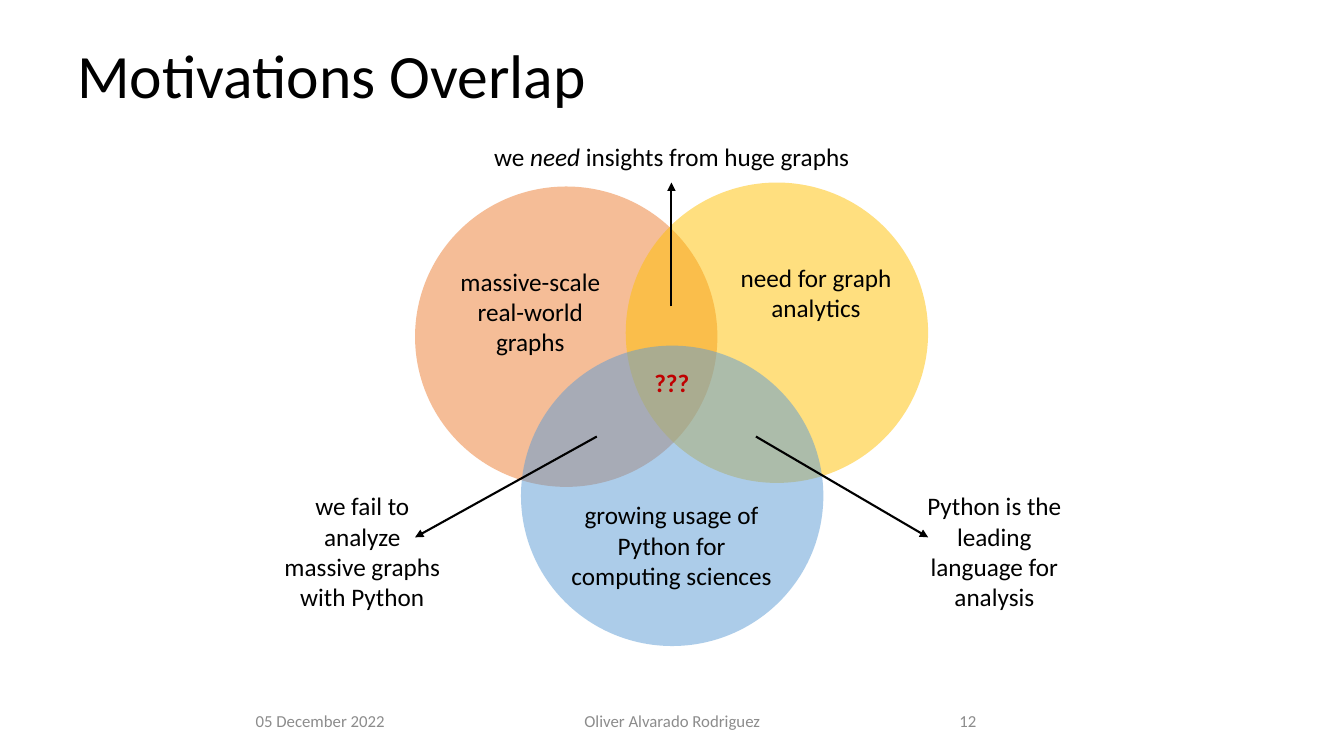
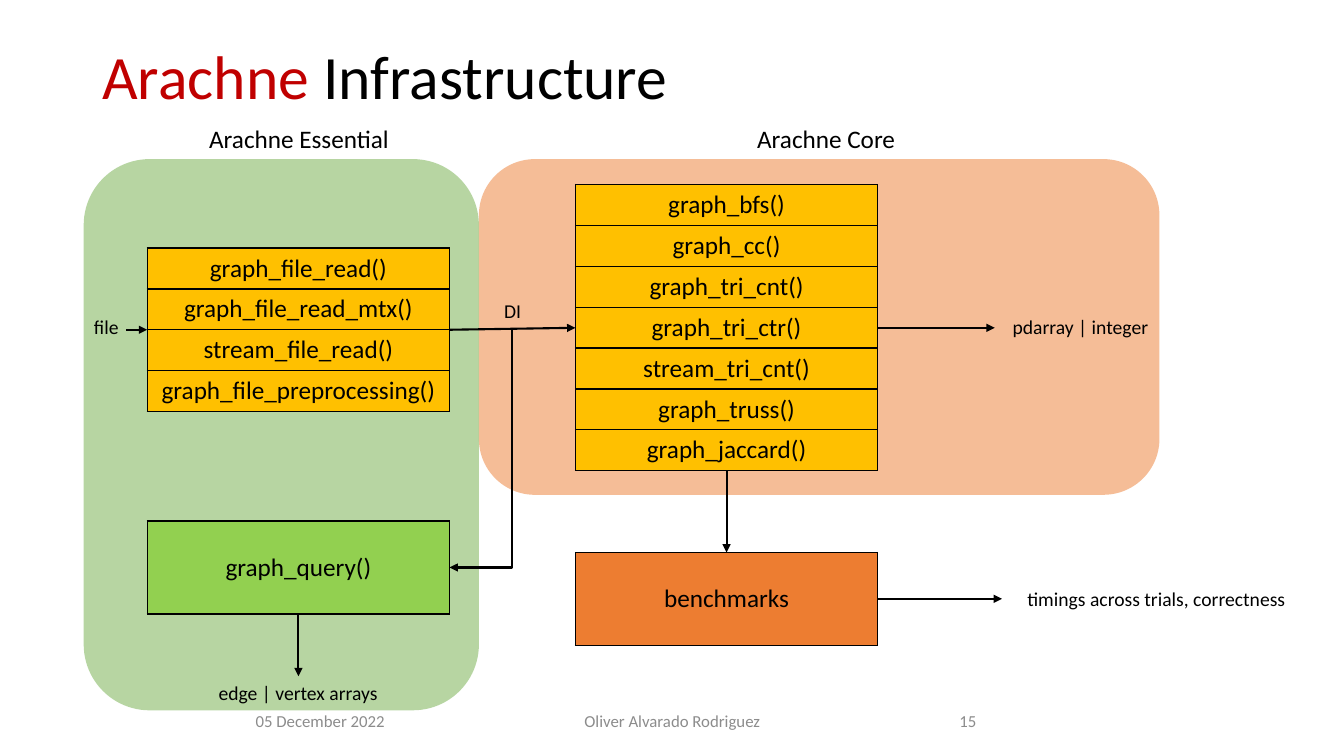
from lxml.etree import SubElement
from pptx import Presentation
from pptx.dml.color import RGBColor
from pptx.enum.shapes import MSO_CONNECTOR, MSO_SHAPE
from pptx.enum.text import MSO_ANCHOR, PP_ALIGN
from pptx.oxml.ns import qn
from pptx.util import Cm, Pt

FONT = "Calibri"
COLORS = {
    "black": "000000",
    "red": "C00000",
    "grey": "8C8C8C",
    "orange": "ED7D31",
    "gold": "FFC000",
    "blue": "5B9BD5",
    "green": "70AD47",
    "lime": "92D050",
}
BLOCK_WIDTH = 7.62
ROW_HEIGHT = 1.03
TALL_ROW = 2.34


def rgb(name):
    return RGBColor.from_string(COLORS[name])


def add_run(paragraph, text, size, color="black", bold=False, italic=False):
    run = paragraph.add_run()
    run.text = text
    run.font.name = FONT
    run.font.size = Pt(size)
    run.font.color.rgb = rgb(color)
    run.font.bold = bold
    run.font.italic = italic


def add_text(slide, box, runs, size=18, align=PP_ALIGN.CENTER,
             anchor=MSO_ANCHOR.TOP, wrap=True):
    """Place one paragraph; each run is (text, options of add_run)."""
    frame = slide.shapes.add_textbox(*map(Cm, box)).text_frame
    frame.word_wrap = wrap
    frame.vertical_anchor = anchor
    paragraph = frame.paragraphs[0]
    paragraph.alignment = align
    for text, options in runs:
        add_run(paragraph, text, size, **options)
    return paragraph


def add_label(slide, box, text, size=18, wrap=False, **options):
    add_text(slide, box, [(text, options)], size, wrap=wrap)


def add_title(slide, box, runs):
    paragraph = add_text(slide, box, runs, 44, PP_ALIGN.LEFT, MSO_ANCHOR.MIDDLE)
    paragraph.line_spacing = 0.9


def add_footer(slide, number):
    parts = [
        (2.33, 7.62, "05 December 2022", PP_ALIGN.RIGHT),
        (11.23, 11.43, "Oliver Alvarado Rodriguez", PP_ALIGN.CENTER),
        (23.93, 7.62, str(number), PP_ALIGN.LEFT),
    ]
    for left, width, text, align in parts:
        add_text(slide, (left, 17.65, width, 1.02), [(text, {"color": "grey"})],
                 12, align, MSO_ANCHOR.MIDDLE)


def add_translucent_shape(slide, kind, box, color):
    shape = slide.shapes.add_shape(kind, *map(Cm, box))
    shape.shadow.inherit = False
    shape.line.fill.background()
    shape.fill.solid()
    shape.fill.fore_color.rgb = rgb(color)
    fill_color = shape.fill._xPr.find(qn("a:solidFill"))[0]
    SubElement(fill_color, qn("a:alpha"), val="50000")


def add_arrow(slide, start, end, kind=MSO_CONNECTOR.STRAIGHT):
    connector = slide.shapes.add_connector(kind, *map(Cm, (*start, *end)))
    connector.line.color.rgb = rgb("black")
    connector.line.width = Pt(1.5)
    SubElement(connector.line._get_or_add_ln(), qn("a:tailEnd"), type="triangle")
    SubElement(connector._element.spPr, qn("a:effectLst"))
    return connector


def add_down_left_arrow(slide, start, end):
    """Run down from start, then left to end: a one-bend connector turned 90°."""
    (x1, y1), (x2, y2) = start, end
    center_x, center_y = (x1 + x2) / 2, (y1 + y2) / 2
    half_width, half_height = (y2 - y1) / 2, (x1 - x2) / 2
    connector = add_arrow(slide,
                          (center_x - half_width, center_y - half_height),
                          (center_x + half_width, center_y + half_height),
                          MSO_CONNECTOR.ELBOW)
    properties = connector._element.spPr
    properties.find(qn("a:xfrm")).set("rot", "5400000")
    properties.find(qn("a:prstGeom")).set("prst", "bentConnector2")


def add_cell_borders(cell):
    properties = cell._tc.get_or_add_tcPr()
    for side in ("lnL", "lnR", "lnT", "lnB"):
        line = SubElement(properties, qn(f"a:{side}"), w=str(Pt(1)))
        fill = SubElement(line, qn("a:solidFill"))
        SubElement(fill, qn("a:srgbClr"), val=COLORS["black"])


def add_block(slide, left, top, names, color="gold", row_height=ROW_HEIGHT):
    """Stack the names in a one-column table."""
    table = slide.shapes.add_table(
        len(names), 1, Cm(left), Cm(top), Cm(BLOCK_WIDTH),
        Cm(row_height * len(names))).table
    table.first_row = table.horz_banding = False
    for index, name in enumerate(names):
        table.rows[index].height = Cm(row_height)
        cell = table.cell(index, 0)
        add_cell_borders(cell)
        cell.fill.solid()
        cell.fill.fore_color.rgb = rgb(color)
        cell.vertical_anchor = MSO_ANCHOR.MIDDLE
        paragraph = cell.text_frame.paragraphs[0]
        paragraph.alignment = PP_ALIGN.CENTER
        add_run(paragraph, name, 18)


def add_venn(slide, left, top):
    def at(x, y, *size):
        return (left + x, top + y, *size)

    for x, y, color in [(0, 0.1, "orange"), (5.31, 0, "gold"), (2.67, 4.11, "blue")]:
        add_translucent_shape(slide, MSO_SHAPE.OVAL, at(x, y, 7.62, 7.57), color)

    labels = [
        (0.49, 1.98, 4.83, 2.56, "massive-scale real-world graphs"),
        (7.88, 1.88, 4.45, 1.8, "need for graph analytics"),
        (3.66, 7.87, 5.61, 2.57, "growing usage of Python for computing sciences"),
        (-3.63, 7.64, 4.6, 3.33, "we fail to analyze massive graphs with Python"),
        (12.3, 7.64, 4.6, 3.33, "Python is the leading language for analysis"),
    ]
    for *box, text in labels:
        add_label(slide, at(*box), text, wrap=True)
    add_label(slide, at(5.77, 4.54, 1.4, 1.02), "???", color="red", bold=True)
    add_text(slide, at(1.68, -1.17, 9.58, 1.02),
             [("we ", {}), ("need", {"italic": True}),
              (" insights from huge graphs", {})], wrap=False)

    for start, end in [((4.58, 6.4), (0, 8.94)),
                       ((8.59, 6.4), (12.93, 8.94)),
                       ((6.46, 3.12), (6.46, 0))]:
        add_arrow(slide, at(*start), at(*end))


def add_essential(slide, left, top):
    def at(x, y, *size):
        return (left + x, top + y, *size)

    add_translucent_shape(slide, MSO_SHAPE.ROUNDED_RECTANGLE,
                          at(0, 0, 9.96, 13.89), "green")
    add_label(slide, at(2.87, -1.02, 5.11, 1.02), "Arachne Essential")
    add_block(slide, *at(1.6, 2.24), [
        "graph_file_read()", "graph_file_read_mtx()",
        "stream_file_read()", "graph_file_preprocessing()"])
    add_block(slide, *at(1.6, 9.12), ["graph_query()"], "lime", TALL_ROW)
    add_label(slide, at(0, 3.81, 1.14, 0.86), "file", 14)
    add_label(slide, at(3.12, 13.03, 4.57, 0.86), "edge | vertex arrays", 14)
    add_arrow(slide, at(1.07, 4.3), at(1.6, 4.3))
    add_arrow(slide, at(5.41, 11.46), at(5.41, 13.03))


def add_core(slide, left, top):
    def at(x, y, *size):
        return (left + x, top + y, *size)

    add_translucent_shape(slide, MSO_SHAPE.ROUNDED_RECTANGLE,
                          at(0, 0, 17.15, 8.46), "orange")
    add_label(slide, at(6.73, -1.02, 4.04, 1.02), "Arachne Core")
    add_block(slide, *at(2.43, 0.64), [
        "graph_bfs()", "graph_cc()", "graph_tri_cnt()", "graph_tri_ctr()",
        "stream_tri_cnt()", "graph_truss()", "graph_jaccard()"])
    add_block(slide, *at(2.43, 9.91), ["benchmarks"], "orange", TALL_ROW)

    for x, y, width, text in [
            (0.38, 3.41, 0.94, "DI"),
            (13.18, 3.81, 3.96, "pdarray | integer"),
            (13.53, 10.65, 7.09, "timings across trials, correctness")]:
        add_label(slide, at(x, y, width, 0.86), text, 14)

    for start, end in [((-0.74, 4.3), (2.43, 4.25)),
                       ((10.05, 4.25), (13, 4.25)),
                       ((6.24, 7.85), (6.24, 9.91)),
                       ((10.05, 11.08), (13.18, 11.08))]:
        add_arrow(slide, at(*start), at(*end))
    add_down_left_arrow(slide, at(0.83, 4.25), at(-0.74, 10.29))


def build_motivations(slide):
    add_title(slide, (1.7, 0.13, 29.21, 3.68), [("Motivations Overlap", {})])
    add_venn(slide, 10.46, 4.6)
    add_footer(slide, 12)


def build_infrastructure(slide):
    add_title(slide, (2.33, 1.02, 29.21, 1.98),
              [("Arachne", {"color": "red"}), (" Infrastructure", {})])
    add_essential(slide, 2.11, 4.01)
    add_core(slide, 12.07, 4.01)
    add_footer(slide, 15)


def main():
    presentation = Presentation()
    presentation.slide_width = Cm(33.87)
    presentation.slide_height = Cm(19.05)
    blank_layout = presentation.slide_layouts[6]
    for build in (build_motivations, build_infrastructure):
        build(presentation.slides.add_slide(blank_layout))
    presentation.save("out.pptx")


if __name__ == "__main__":
    main()
